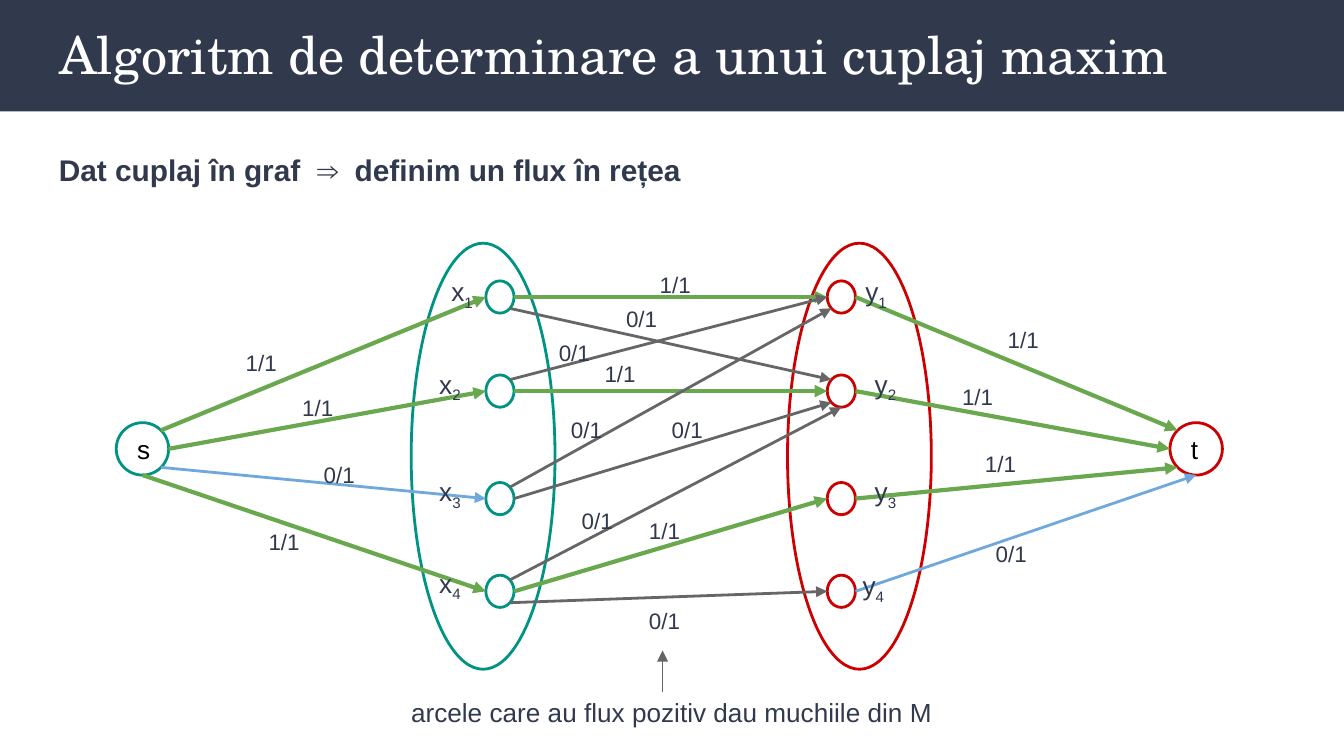
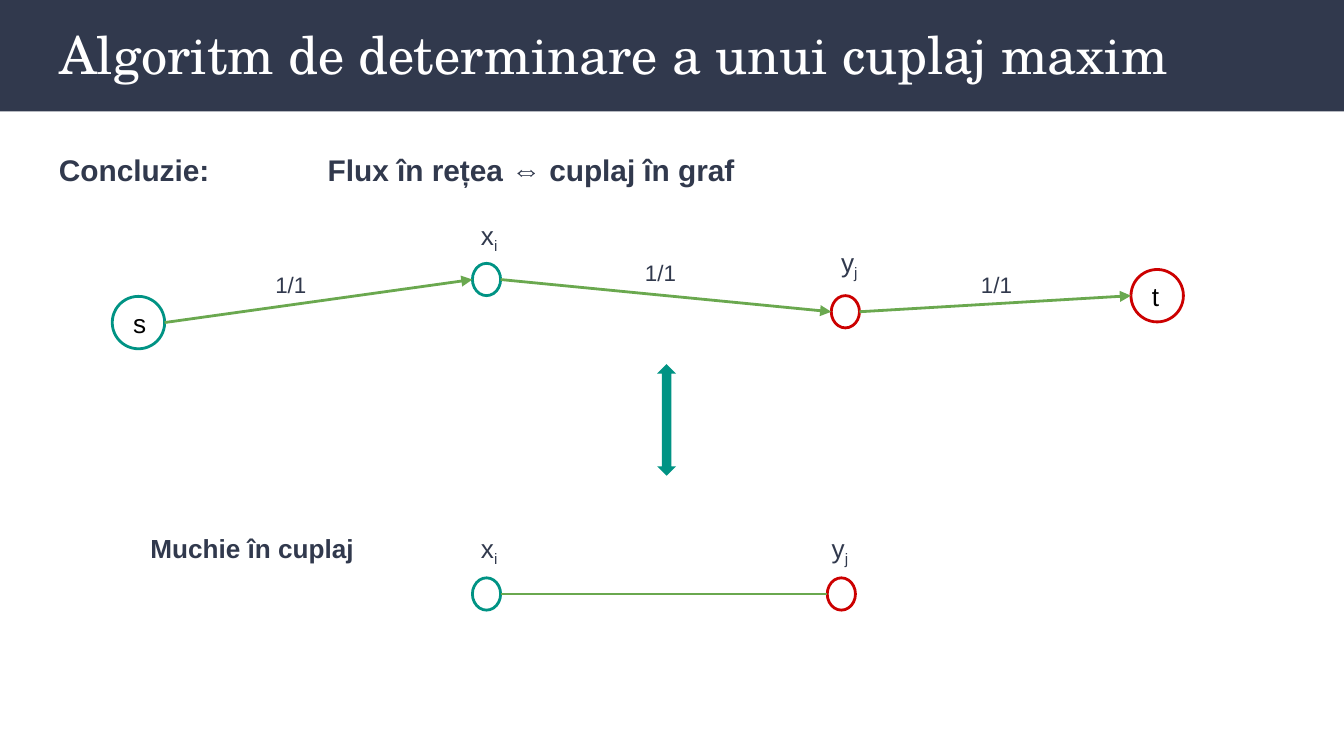
import math

import pptx
import pptx.dml.color
import pptx.enum.shapes
import pptx.enum.text
import pptx.oxml.ns
import pptx.util
from lxml import etree
from pptx.util import Inches

C = {"navy": "31394D", "white": "FFFFFF", "black": "000000", "teal": "009384",
     "red": "CC0000", "green": "6AA84F", "grey": "666666", "blue": "6FA8DC"}
BODY_FONT, TITLE_FONT = "Arial", "TeX Gyre Schola"
TITLE = "Algoritm de determinare a unui cuplaj maxim"
SHAPE = pptx.enum.shapes.MSO_SHAPE
ANCHOR = pptx.enum.text.MSO_ANCHOR
NODE, TERMINAL = (0.21, 0.24), (0.39, 0.39)
ANGLES = {d: i * math.pi / 4
          for i, d in enumerate(("E", "SE", "S", "SW", "W", "NW", "N", "NE"))}


def rgb(name):
    return pptx.dml.color.RGBColor.from_string(C[name])


def add_run(p, text, size, color="navy", font=BODY_FONT, bold=False):
    r = p.add_run()
    r.text = text
    r.font.size = pptx.util.Pt(size)
    r.font.name = font
    r.font.bold = bold
    r.font.color.rgb = rgb(color)
    return r


def set_frame(tf, anchor=ANCHOR.TOP):
    """Apply the shared insets, wrapping and left alignment; return the paragraph."""
    tf.word_wrap = True
    tf.auto_size = pptx.enum.text.MSO_AUTO_SIZE.NONE
    tf.vertical_anchor = anchor
    tf.margin_left = tf.margin_right = tf.margin_top = tf.margin_bottom = Inches(0.1)
    p = tf.paragraphs[0]
    p.alignment = pptx.enum.text.PP_ALIGN.LEFT
    return p


def add_preset(s, kind, x, y, w, h, fill=None, line=None):
    sp = s.shapes.add_shape(kind, Inches(x), Inches(y), Inches(w), Inches(h))
    sp.shadow.inherit = False
    if fill:
        sp.fill.solid()
        sp.fill.fore_color.rgb = rgb(fill)
    else:
        sp.fill.background()
    if line:
        sp.line.color.rgb = rgb(line)
        sp.line.width = pptx.util.Pt(1.5)
    else:
        sp.line.fill.background()
    return sp


def add_text(s, x, y, w, h, text, size, bold=False, sub=None):
    """Add a one-paragraph text box, with an optional subscript."""
    tb = s.shapes.add_textbox(Inches(x), Inches(y), Inches(w), Inches(h))
    p = set_frame(tb.text_frame)
    add_run(p, text, size, bold=bold)
    if sub:
        r = add_run(p, sub, size)
        r.font._element.set("baseline", "-25000")
    return p


def add_heading(s, text, tab=None):
    p = add_text(s, 0.34, 0.99, 9.32, 4.11, text, 16, bold=True)
    p.line_spacing = 1.15
    p.space_after = pptx.util.Pt(10)
    if tab:
        qn = pptx.oxml.ns.qn
        tabs = etree.SubElement(p._p.get_or_add_pPr(), qn("a:tabLst"))
        etree.SubElement(tabs, qn("a:tab"), pos=str(Inches(tab)), algn="l")


def add_node(s, cx, cy, color, text=None):
    """Draw a vertex around its centre; return what port() needs."""
    w, h = TERMINAL if text else NODE
    sp = add_preset(s, SHAPE.OVAL, cx - w / 2, cy - h / 2, w, h, line=color)
    if text:
        add_run(set_frame(sp.text_frame, ANCHOR.MIDDLE), text, 14, "black")
    return cx, cy, w, h


def port(node, side):
    """Point of a vertex outline in a compass direction."""
    cx, cy, w, h = node
    return (cx + w / 2 * math.cos(ANGLES[side]),
            cy + h / 2 * math.sin(ANGLES[side]))


def add_line(s, start, end, color, width=1.5, arrow=True):
    c = s.shapes.add_connector(pptx.enum.shapes.MSO_CONNECTOR.STRAIGHT,
                               *(Inches(v) for v in (*start, *end)))
    c.line.color.rgb = rgb(color)
    c.line.width = pptx.util.Pt(width)
    qn = pptx.oxml.ns.qn
    if arrow:
        etree.SubElement(c.line._get_or_add_ln(), qn("a:tailEnd"), type="triangle")
    etree.SubElement(c._element.spPr, qn("a:effectLst"))


def add_flow(s, x, y, text):
    add_text(s, x, y, 0.53, 0.4, text, 12)


def add_band(prs, layout):
    """Put the title band on the layout, behind its placeholders."""
    s = prs.slides[0]
    band = add_preset(s, SHAPE.RECTANGLE, 0, 0, 10, 0.83, fill="navy")
    layout.shapes._spTree.insert(2, band._element)


def add_slide(prs, layout):
    s = prs.slides.add_slide(layout)
    sp = s.shapes.title
    sp.left, sp.top, sp.width, sp.height = (Inches(v) for v in (0.34, 0.06, 9.32, 0.68))
    add_run(set_frame(sp.text_frame, ANCHOR.MIDDLE), TITLE, 28, "white", TITLE_FONT)
    return s


def build_network(s):
    add_heading(s, "Dat cuplaj în graf  ⇒  definim un flux în rețea")
    for x, color in ((5.86, "red"), (3.06, "teal")):
        add_preset(s, SHAPE.OVAL, x, 1.81, 1.07, 3.17, line=color)

    nodes = {"s": add_node(s, 1.06, 3.34, "teal", "s"),
             "t": add_node(s, 8.9, 3.34, "red", "t")}
    for i, cy in enumerate((2.21, 2.91, 3.71, 4.4), 1):
        nodes[f"x{i}"] = add_node(s, 3.72, cy, "teal")
        nodes[f"y{i}"] = add_node(s, 6.26, cy, "red")

    # from, side, to, side, colour, flow label position
    edges = [
        ("x1", "E", "y1", "W", "green", 4.81, 1.92),
        ("x1", "SE", "y2", "NW", "grey", 4.56, 2.17),
        ("x2", "NE", "y1", "W", "grey", 4.06, 2.42),
        ("x2", "E", "y2", "W", "green", 4.4, 2.58),
        ("x3", "NE", "y1", "SW", "grey", 4.15, 3),
        ("x3", "E", "y2", "SW", "grey", 4.9, 3),
        ("x4", "NE", "y2", "S", "grey", 4.23, 3.67),
        ("x4", "E", "y3", "W", "green", 4.73, 3.75),
        ("x4", "SE", "y4", "W", "grey", 4.73, 4.42),
        ("s", "NE", "x1", "W", "green", 1.73, 2.5),
        ("s", "E", "x2", "W", "green", 2.15, 2.83),
        ("s", "S", "x4", "W", "green", 1.9, 3.83),
        ("s", "SE", "x3", "W", "blue", 2.31, 3.33),
        ("y1", "E", "t", "NW", "green", 7.4, 2.33),
        ("y2", "E", "t", "W", "green", 7.06, 2.75),
        ("y3", "E", "t", "SW", "green", 7.23, 3.25),
        ("y4", "E", "t", "S", "blue", 7.31, 3.92),
    ]
    for a, a_side, b, b_side, color, x, y in edges:
        used = color == "green"
        add_line(s, port(nodes[a], a_side), port(nodes[b], b_side), color,
                 2.25 if used else 1.5)
        add_flow(s, x, y, "1/1" if used else "0/1")

    names = {"x1": (3.26, 1.95), "x2": (3.17, 2.64), "x3": (3.17, 3.44),
             "x4": (3.17, 4.12), "y1": (6.34, 1.95), "y2": (6.41, 2.64),
             "y3": (6.41, 3.44), "y4": (6.32, 4.14)}
    for name, (x, y) in names.items():
        add_text(s, x, y, 0.46, 0.44, name[0], 14, sub=name[1])

    add_text(s, 2.96, 5.08, 4.08, 0.44,
             "arcele care au flux pozitiv dau muchiile din M", 14)
    add_line(s, (4.93, 5.15), (4.93, 4.84), "grey", 0.75)


def build_conclusion(s):
    add_heading(s, "Concluzie: \tFlux în rețea ⇔ cuplaj în graf", tab=2)
    chain = [add_node(s, 1.03, 2.4, "teal", "s"),
             add_node(s, 3.62, 2.08, "teal"),
             add_node(s, 6.29, 2.32, "red"),
             add_node(s, 8.61, 2.2, "red", "t")]
    labels = ((1.95, 1.92), (4.7, 1.83), (7.2, 1.92))
    for a, b, (x, y) in zip(chain, chain[1:], labels):
        add_line(s, port(a, "E"), port(b, "W"), "green")
        add_flow(s, x, y, "1/1")

    add_preset(s, SHAPE.UP_DOWN_ARROW, 4.89, 2.71, 0.14, 0.83, fill="teal")

    x_node = add_node(s, 3.62, 4.42, "teal")
    y_node = add_node(s, 6.26, 4.42, "red")
    add_line(s, port(x_node, "E"), port(y_node, "W"), "green", arrow=False)
    for name, x, y in (("xi", 3.48, 1.53), ("yj", 6.16, 1.73),
                       ("xi", 3.48, 3.86), ("yj", 6.09, 3.86)):
        add_text(s, x, y, 0.39, 0.44, name[0], 14, sub=name[1])
    add_text(s, 1.02, 3.86, 1.87, 0.44, "Muchie în cuplaj", 14, bold=True)


def main():
    prs = pptx.Presentation()
    prs.slide_width = Inches(10)
    prs.slide_height = prs.slide_width * 9 // 16
    layout = prs.slide_layouts.get_by_name("Title Only")
    build_network(add_slide(prs, layout))
    build_conclusion(add_slide(prs, layout))
    add_band(prs, layout)
    prs.save("out.pptx")


if __name__ == "__main__":
    main()
